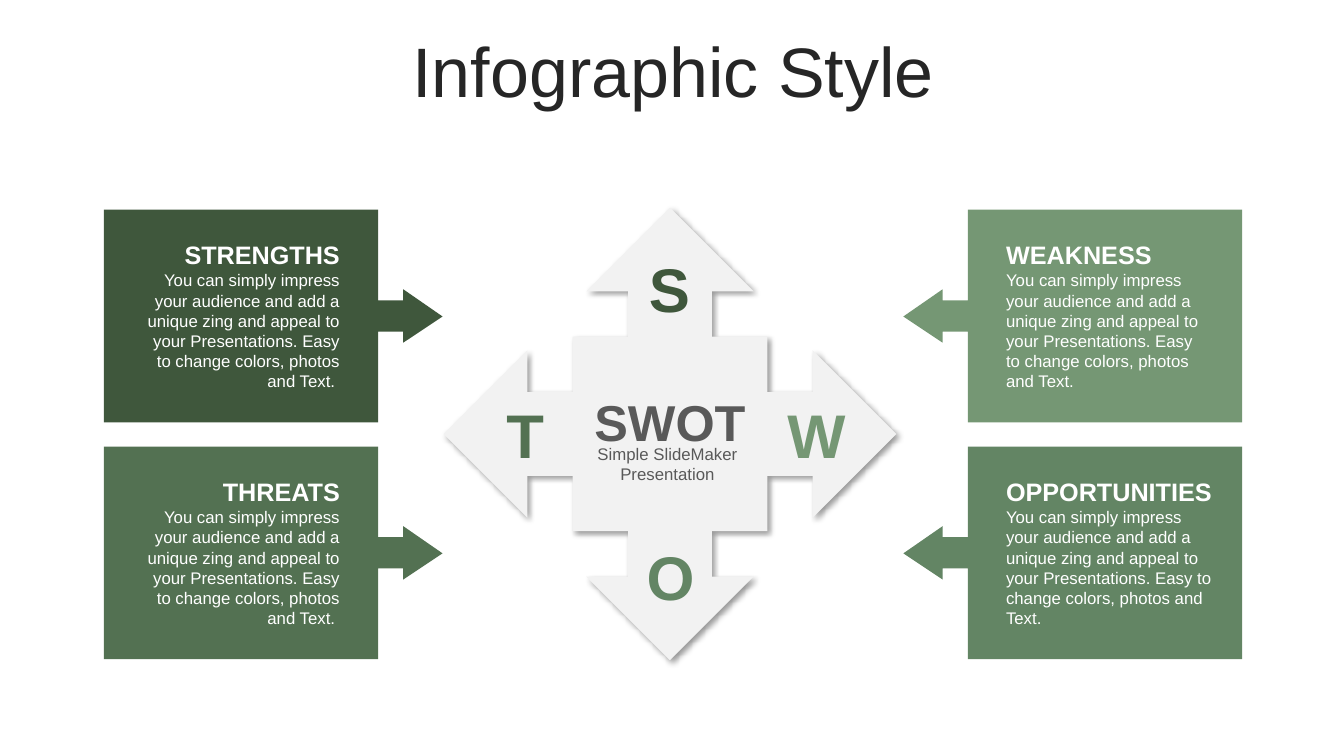
from lxml import etree
from pptx import Presentation
from pptx.dml.color import RGBColor
from pptx.enum import shapes, text
from pptx.oxml import ns
from pptx.util import Inches, Pt

COLORS = {
    "title": "262626",
    "strengths": "3F573C",
    "weakness": "759774",
    "opportunities": "638564",
    "threats": "537152",
    "callout": "F2F2F2",
    "caption": "595959",
    "panel_text": "FFFFFF",
}
BODY = ("You can simply impress your audience and add a unique zing and appeal "
        "to your Presentations. Easy to change colors, photos and Text.")
LEFT, CENTER, RIGHT = text.PP_ALIGN.LEFT, text.PP_ALIGN.CENTER, text.PP_ALIGN.RIGHT
MIRROR_WIDTH = 13.35

presentation = Presentation()
presentation.slide_width = Inches(13.33)
presentation.slide_height = Inches(7.5)
slide = presentation.slides.add_slide(presentation.slide_layouts[5])


def write(shape, words, size, color, align, bold=False):
    frame = shape.text_frame
    frame.word_wrap = True
    paragraph = frame.paragraphs[0]
    paragraph.text = words
    paragraph.alignment = align
    paragraph.font.name = "Arial"
    paragraph.font.size = Pt(size)
    paragraph.font.bold = bold
    paragraph.font.color.rgb = RGBColor.from_string(COLORS[color])


def add_text(left, top, width, height, *style):
    box = slide.shapes.add_textbox(Inches(left), Inches(top), Inches(width), Inches(height))
    write(box, *style)


title = slide.shapes.title
title.left, title.top = Inches(0.35), Inches(0.37)
title.width, title.height = Inches(12.66), Inches(0.79)
write(title, "Infographic Style", 50, "title", CENTER)
title.text_frame.vertical_anchor = text.MSO_ANCHOR.MIDDLE
title.text_frame.auto_size = text.MSO_AUTO_SIZE.NONE
title.text_frame.paragraphs[0].line_spacing = 0.8

callout = slide.shapes.add_shape(
    shapes.MSO_SHAPE.QUAD_ARROW_CALLOUT, Inches(4.4), Inches(2.06), Inches(4.49), Inches(4.49))
for index, value in enumerate([0.185, 0.185, 0.185, 0.43]):
    callout.adjustments[index] = value
callout.fill.solid()
callout.fill.fore_color.rgb = RGBColor.from_string(COLORS["callout"])
callout.line.fill.background()
callout.shadow.inherit = False
effects = callout.element.spPr.find(ns.qn("a:effectLst"))
shadow = etree.SubElement(effects, ns.qn("a:outerShdw"), blurRad=str(Pt(4)),
                          dist=str(Pt(3)), dir="2700000", algn="tl", rotWithShape="0")
shadow_color = etree.SubElement(shadow, ns.qn("a:srgbClr"), val="000000")
etree.SubElement(shadow_color, ns.qn("a:alpha"), val="40000")

for letter, left, top, color in [
    ("S", 6.3, 2.44, "strengths"),
    ("W", 7.71, 3.89, "weakness"),
    ("O", 6.31, 5.3, "opportunities"),
    ("T", 4.87, 3.89, "threats"),
]:
    add_text(left, top, 0.68, 0.84, letter, 44, color, CENTER, True)

add_text(5.67, 3.83, 1.95, 0.71, "SWOT", 36, "caption", CENTER, True)
add_text(5.75, 4.35, 1.74, 0.5, "Simple SlideMaker Presentation", 12, "caption", CENTER)

PANEL_OUTLINE = [
    (1.03, 0), (3.75, 0), (3.75, 0.9), (4, 0.9), (4, 0.79), (4.39, 1.06),
    (4, 1.32), (4, 1.21), (3.75, 1.21), (3.75, 2.11), (1.03, 2.11),
]
for heading, top, on_right, text_left, text_width in [
    ("STRENGTHS", 2.08, False, 1.3, 2.17),
    ("WEAKNESS", 2.08, True, 9.88, 2.22),
    ("THREATS", 4.43, False, 1.3, 2.17),
    ("OPPORTUNITIES", 4.43, True, 9.88, 2.3),
]:
    points = [(Inches(MIRROR_WIDTH - x if on_right else x), Inches(top + y))
              for x, y in PANEL_OUTLINE]
    builder = slide.shapes.build_freeform(*points[0])
    builder.add_line_segments(points[1:], close=True)
    panel = builder.convert_to_shape()
    panel.fill.solid()
    panel.fill.fore_color.rgb = RGBColor.from_string(COLORS[heading.lower()])
    panel.line.fill.background()
    panel.shadow.inherit = False

    align = LEFT if on_right else RIGHT
    body = BODY if on_right else BODY + " "
    add_text(text_left, top + 0.25, text_width, 0.3, heading, 18, "panel_text", align, True)
    add_text(text_left, top + 0.55, text_width, 1.31, body, 12, "panel_text", align)

presentation.save("out.pptx")
